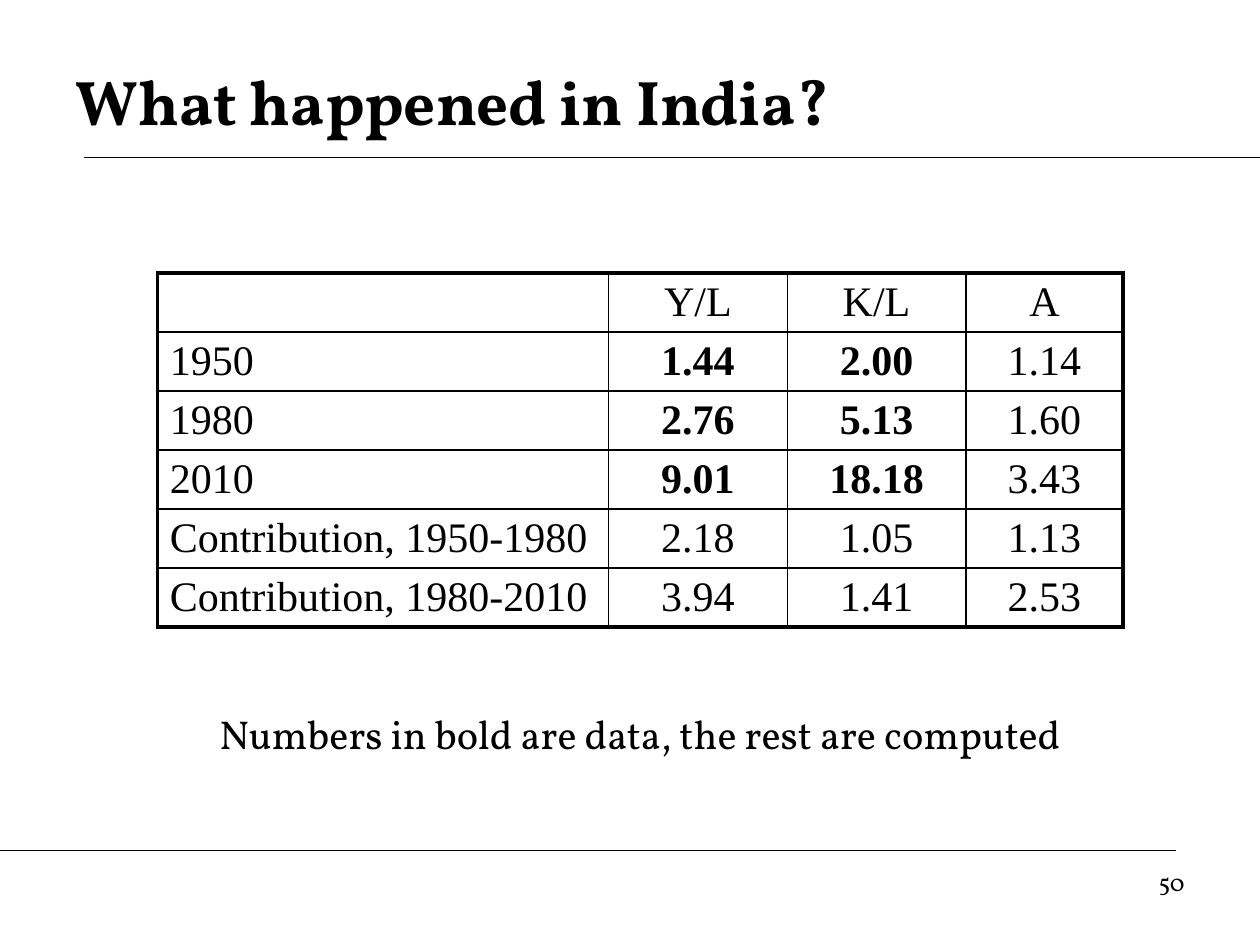
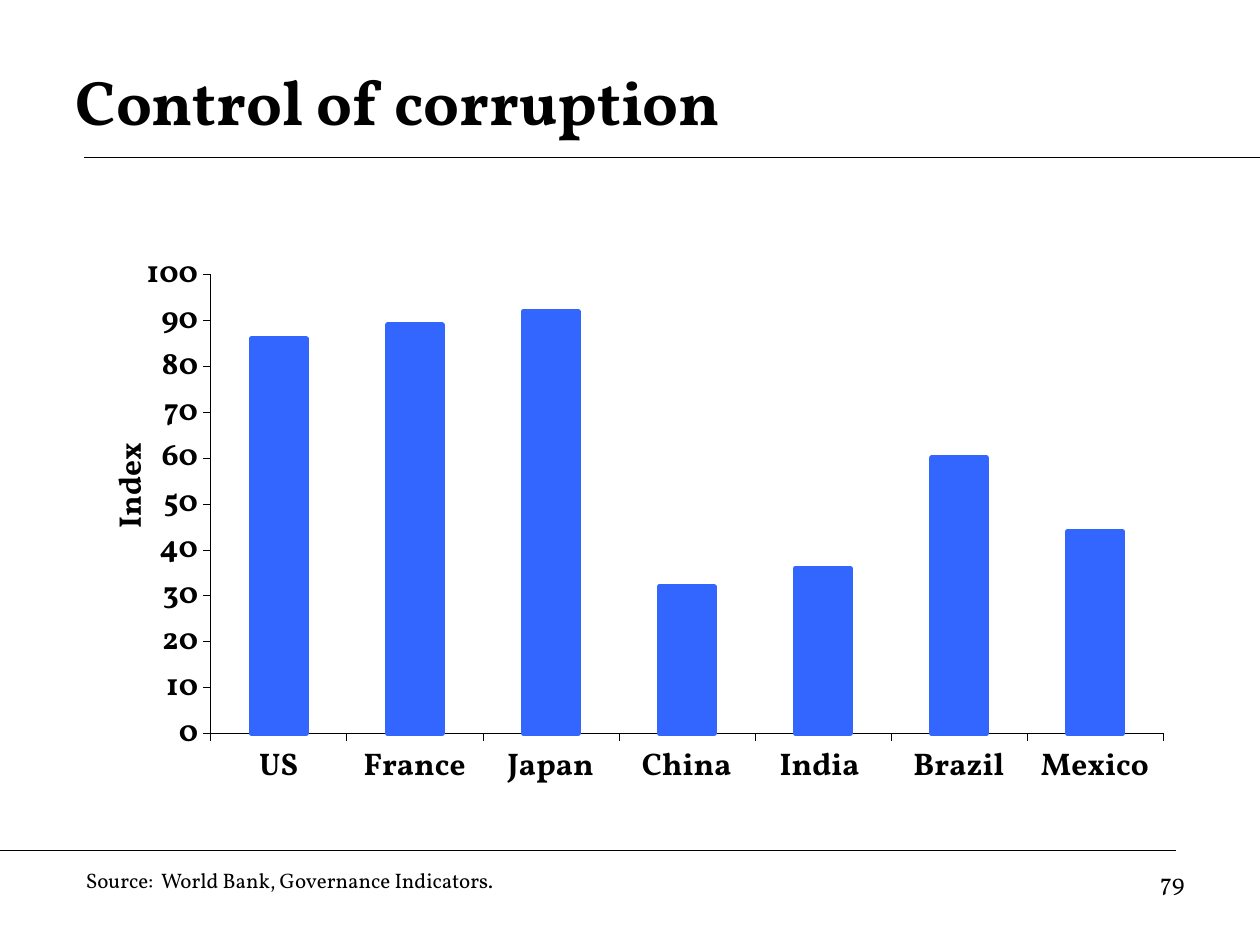
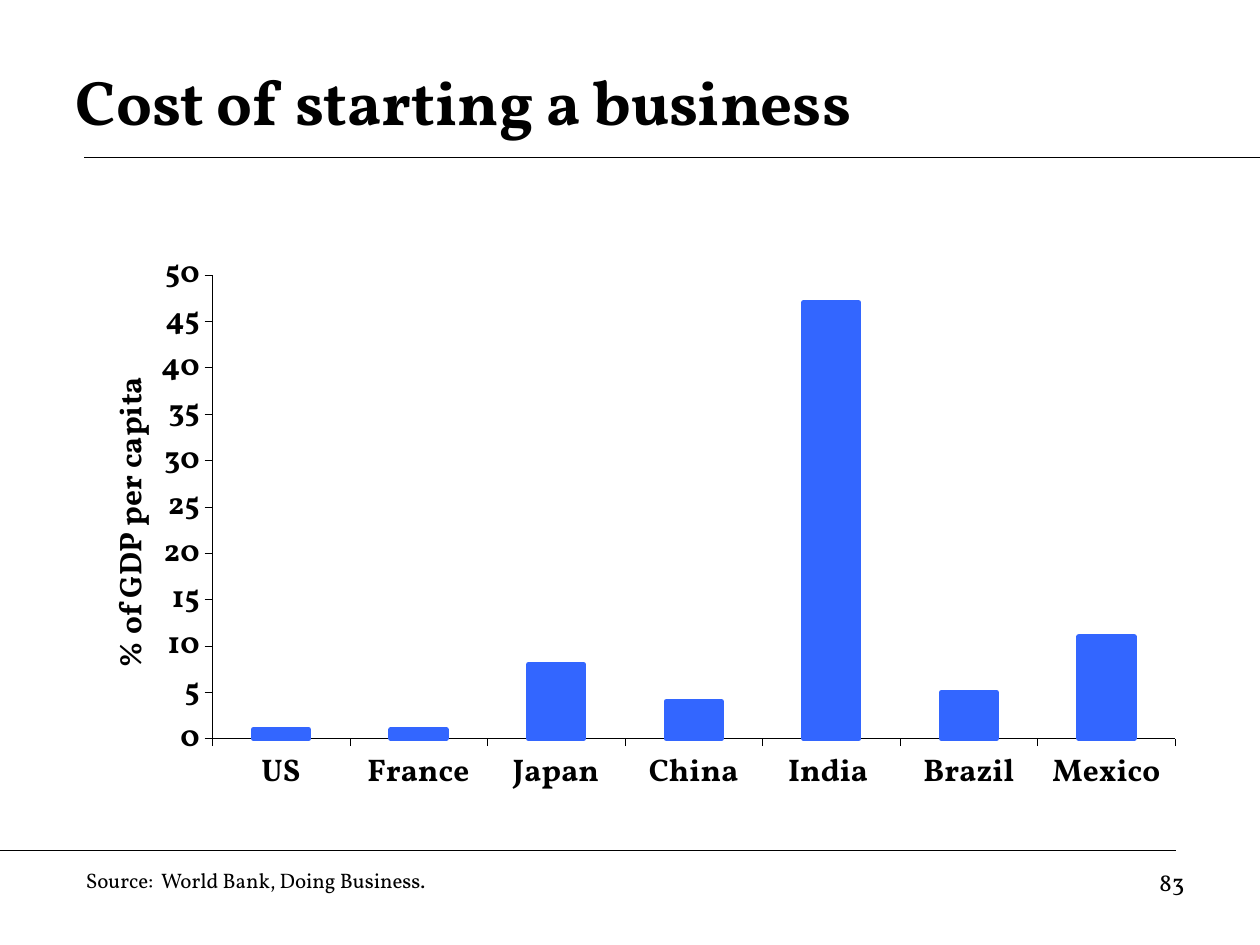
from pptx import Presentation
from pptx.chart.data import CategoryChartData
from pptx.dml.color import RGBColor
from pptx.enum.chart import XL_CHART_TYPE as ChartType
from pptx.enum.shapes import MSO_CONNECTOR as Connector
from pptx.enum.text import MSO_ANCHOR as Anchor, MSO_AUTO_SIZE as AutoSize, PP_ALIGN as Align
from pptx.oxml import parse_xml
from pptx.oxml.ns import nsdecls, qn
from pptx.util import Cm, Pt

BLACK, BLUE = "000000", "3366FF"
SERIF, TABLE_FONT = "Vollkorn", "Times New Roman"
SLIDE_W, SLIDE_H = 25.4, 19.05
RULES = [(1.7, SLIDE_W, 3.17), (0, 23.7, 17.14)]  # left, right, height on slide

TABLE_ROWS = [
    ("", "Y/L", "K/L", "A"),
    ("1950", "1.44", "2.00", "1.14"),
    ("1980", "2.76", "5.13", "1.60"),
    ("2010", "9.01", "18.18", "3.43"),
    ("Contribution, 1950-1980", "2.18", "1.05", "1.13"),
    ("Contribution, 1980-2010", "3.94", "1.41", "2.53"),
]
DATA_ROWS, DATA_COLS = (1, 2, 3), (1, 2)
COL_WIDTHS, ROW_HEIGHT = (9.1, 3.6, 3.6, 3.17), 1.19
INNER, OUTER = 1, 2.25

COUNTRIES = ["US", "France", "Japan", "China", "India ", "Brazil", "Mexico"]
PLOT = {"x": 0.127, "y": 0.077, "w": 0.863, "h": 0.762}
SLIDES = [
    {"title": "What happened in India?", "number": "50",
     "note": "Numbers in bold are data, the rest are computed"},
    {"title": "Control of corruption", "number": "79",
     "source": "Source:  World Bank, Governance Indicators.",
     "values": [86, 89, 92, 32, 36, 60, 44], "axis": "Index", "axis_top": 0.347,
     "max": 100, "size": (22.25, 12.14)},
    {"title": "Cost of starting a business", "number": "83",
     "source": "Source:  World Bank, Doing Business.",
     "values": [1, 1, 8, 4, 47, 5, 11], "axis": "% of GDP per capita", "axis_top": 0.235,
     "max": 50, "size": (22.5, 12.27)},
]


def rgb(color):
    return RGBColor.from_string(color)


def set_font(font, size, bold=False, name=SERIF):
    font.name, font.size, font.bold = name, Pt(size), bold
    font.color.rgb = rgb(BLACK)


def add_title(slide, text):
    sp = slide.shapes.title
    sp.left, sp.top, sp.width, sp.height = Cm(1.27), Cm(0.85), Cm(22.86), Cm(2.33)
    tf = sp.text_frame
    tf.text = text
    tf.auto_size, tf.vertical_anchor = AutoSize.NONE, Anchor.MIDDLE
    p = tf.paragraphs[0]
    p.alignment = Align.LEFT
    set_font(p.font, 36, True)


def add_text(slide, text, box, size, align=Align.LEFT):
    tf = slide.shapes.add_textbox(*map(Cm, box)).text_frame
    tf.word_wrap = True
    p = tf.paragraphs[0]
    p.text, p.alignment = text, align
    set_font(p.font, size)


def add_rules(slide):
    """Draw the two rules and move them to the slide's layout, shared by all slides."""
    for left, right, y in RULES:
        line = slide.shapes.add_connector(Connector.STRAIGHT, Cm(left), Cm(y), Cm(right), Cm(y))
        line.line.color.rgb, line.line.width = rgb(BLACK), Pt(0.75)
        line.element.spPr.append(parse_xml(f"<a:effectLst {nsdecls('a')}/>"))
        slide.slide_layout.shapes.element.append(line.element)


def set_borders(cell, widths):
    tc_pr = cell._tc.get_or_add_tcPr()
    for side, width in zip("LRTB", widths):
        tc_pr.append(parse_xml(
            f'<a:ln{side} {nsdecls("a")} w="{Pt(width)}"><a:solidFill>'
            f'<a:srgbClr val="{BLACK}"/></a:solidFill></a:ln{side}>'))


def add_growth_table(slide):
    n_rows, n_cols = len(TABLE_ROWS), len(COL_WIDTHS)
    table = slide.shapes.add_table(n_rows, n_cols, Cm(3.17), Cm(5.5), Cm(sum(COL_WIDTHS)),
                                   Cm(ROW_HEIGHT * n_rows)).table
    table.first_row = table.horz_banding = False
    for column, width in zip(table.columns, COL_WIDTHS):
        column.width = Cm(width)
    for r, row in enumerate(TABLE_ROWS):
        table.rows[r].height = Cm(ROW_HEIGHT)
        for c, text in enumerate(row):
            cell = table.cell(r, c)
            on_edge = (c == 0, c == n_cols - 1, r == 0, r == n_rows - 1)
            set_borders(cell, [OUTER if edge else INNER for edge in on_edge])
            cell.fill.background()
            cell.vertical_anchor = Anchor.MIDDLE
            cell.margin_top = cell.margin_bottom = Cm(0.1)
            p = cell.text_frame.paragraphs[0]
            p.text, p.alignment = text, Align.CENTER if c else Align.LEFT
            set_font(p.font, 24, r in DATA_ROWS and c in DATA_COLS, TABLE_FONT)


def set_layout(parent, inner=False, **place):
    """Place a chart part by fractions of the chart area."""
    old = parent.find(qn("c:layout"))
    index = 0
    if old is not None:
        index = parent.index(old)
        parent.remove(old)
    target = '<c:layoutTarget val="inner"/>' if inner else ""
    modes = "".join(f'<c:{k}Mode val="edge"/>' for k in "xy")
    sizes = "".join(f'<c:{k} val="{v}"/>' for k, v in place.items())
    parent.insert(index, parse_xml(
        f"<c:layout {nsdecls('c')}><c:manualLayout>{target}{modes}{sizes}"
        "</c:manualLayout></c:layout>"))


def add_column_chart(slide, info):
    data = CategoryChartData()
    data.categories = COUNTRIES
    data.add_series("Series 1", info["values"])
    chart = slide.shapes.add_chart(ChartType.COLUMN_CLUSTERED, Cm(1.42), Cm(4.6),
                                   *map(Cm, info["size"]), data).chart
    chart.has_title = chart.has_legend = False
    set_font(chart.font, 17.9, True, "Arial")
    for axis in (chart.category_axis, chart.value_axis):
        axis.has_major_gridlines = False
        axis.format.line.color.rgb, axis.format.line.width = rgb(BLACK), Pt(0.25)
        set_font(axis.tick_labels.font, 17.9, True)

    axis = chart.value_axis
    axis.minimum_scale, axis.maximum_scale = 0, info["max"]
    axis.major_unit = info["max"] / 10
    p = axis.axis_title.text_frame.paragraphs[0]
    p.text = info["axis"]
    set_font(p.font, 17.9, True)
    set_layout(axis.axis_title.element, x=0.028, y=info["axis_top"])
    set_layout(chart.element.find(".//" + qn("c:plotArea")), inner=True, **PLOT)

    plot = chart.plots[0]
    plot.gap_width, plot.vary_by_categories = 150, False
    form = plot.series[0].format
    form.fill.solid()
    form.fill.fore_color.rgb = form.line.color.rgb = rgb(BLUE)
    form.line.width = Pt(3)


def main():
    prs = Presentation()
    prs.slide_width, prs.slide_height = Cm(SLIDE_W), Cm(SLIDE_H)
    layout = prs.slide_layouts.get_by_name("Title Only")
    for i, info in enumerate(SLIDES):
        slide = prs.slides.add_slide(layout)
        if i == 0:
            add_rules(slide)
        add_title(slide, info["title"])
        if "values" in info:
            add_column_chart(slide, info)
            add_text(slide, info["source"], (1.48, 17.36, 12.28, 0.77), 12)
        else:
            add_growth_table(slide)
            add_text(slide, info["note"], (1.7, 14.18, 22.43, 2.33), 23, Align.CENTER)
        add_text(slide, info["number"], (18.2, 17.36, 5.93, 1.32), 14, Align.RIGHT)
    prs.save("out.pptx")


if __name__ == "__main__":
    main()
